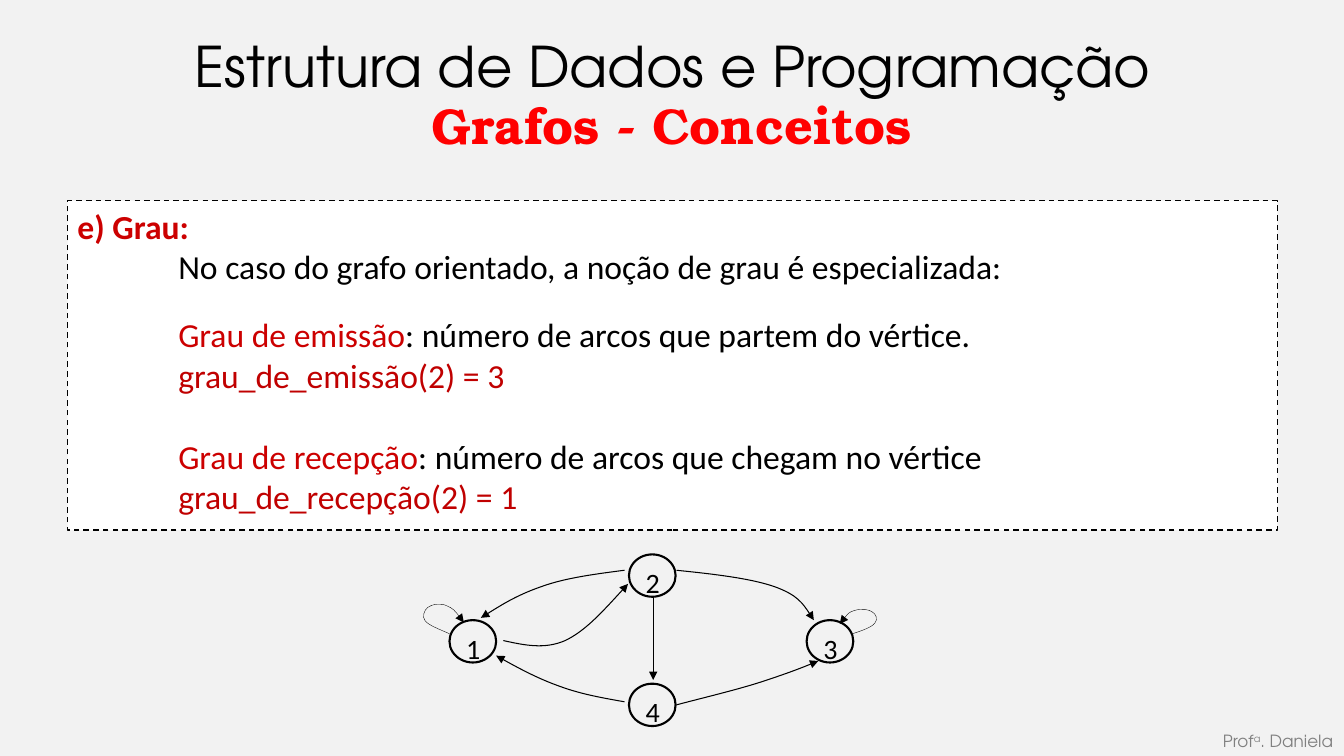
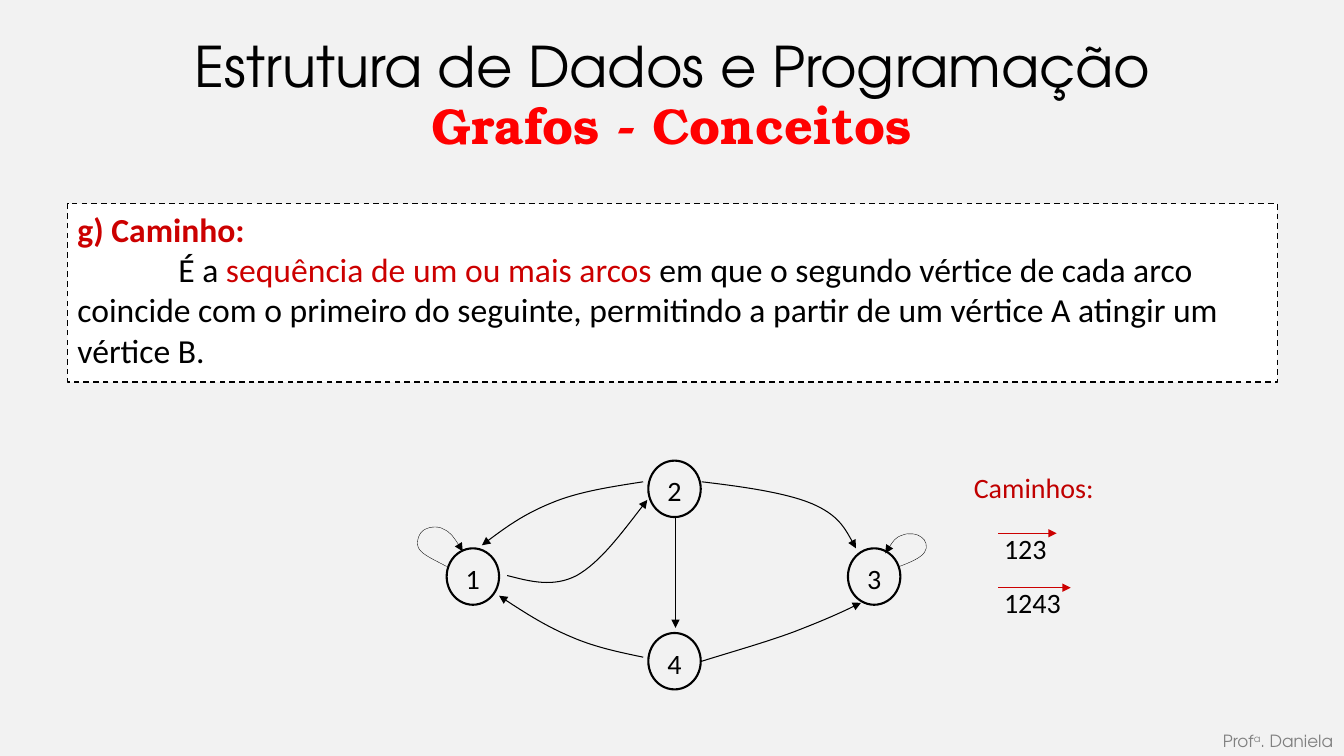
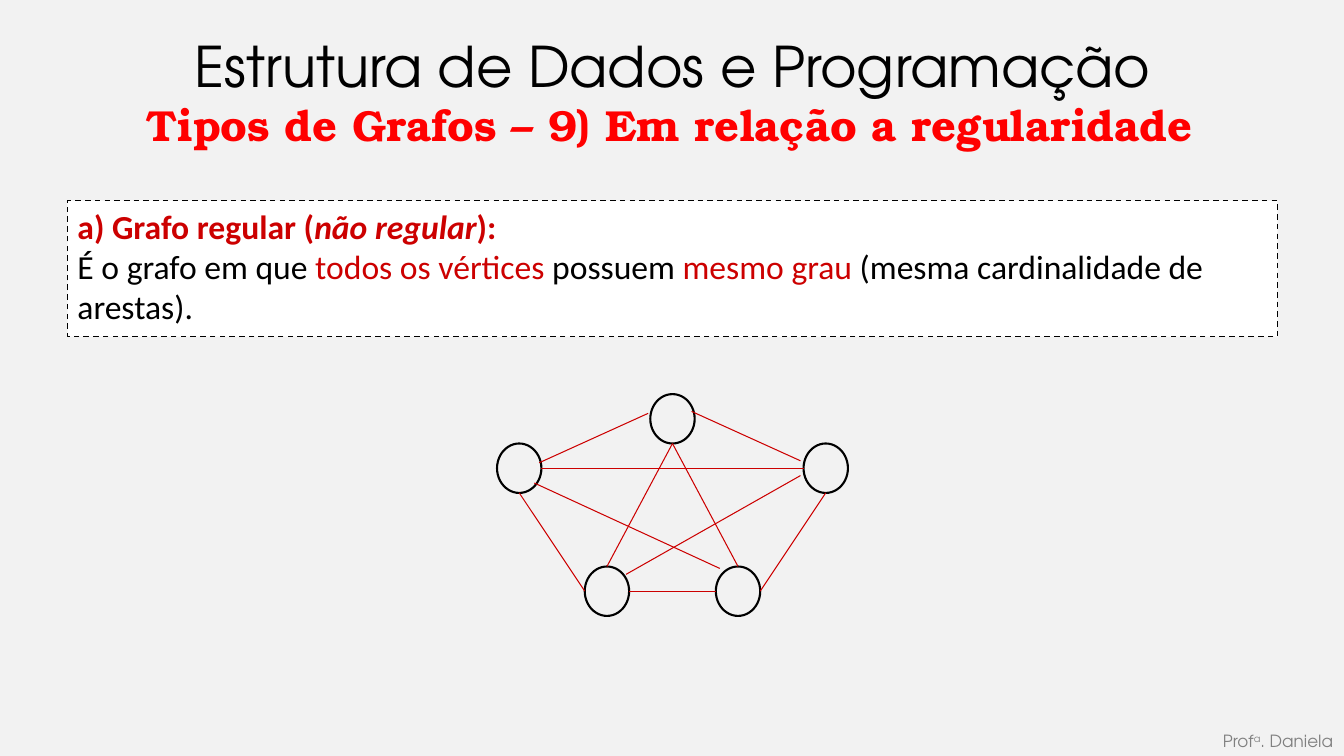
"""Builds three lecture slides about graph concepts."""
from dataclasses import dataclass
from typing import Any, NamedTuple

from lxml.etree import SubElement
from pptx import Presentation
from pptx.dml.color import RGBColor
from pptx.enum.dml import MSO_LINE
from pptx.enum.shapes import MSO_CONNECTOR as CONN, MSO_SHAPE as SHAPE
from pptx.enum.text import MSO_ANCHOR as ANCHOR, PP_ALIGN as ALIGN
from pptx.oxml.ns import qn
from pptx.util import Inches, Pt

BLACK, WHITE, RED, CRIMSON, DARK_RED = "000000", "FFFFFF", "FF0000", "CC0000", "C00000"
GRAY, PAPER = "808080", "F2F2F2"
BODY, DISPLAY, SERIF = "Calibri", "TeX Gyre Adventor", "TeX Gyre Bonum"
WIDTH, HEIGHT = 13.33, 7.5
MARGIN, CONTENT = 0.67, 12
TAB = 1

Point = tuple[float, float]


class Run(NamedTuple):
    text: str
    color: str = BLACK
    bold: bool = False
    italic: bool = False
    baseline: int = 0


class Para(NamedTuple):
    runs: list[Run]
    before: float = 0
    margin: float = 0
    indent: float = 0


class Box(NamedTuple):
    left: float
    top: float
    width: float
    height: float


class Edge(NamedTuple):
    start: str
    start_share: Point
    end: str
    end_share: Point


class Arc(NamedTuple):
    points: list[Point]
    weight: float = 0.75


@dataclass
class Frame:
    left: float
    top: float
    sx: float = 1
    sy: float = 1

    def at(self, point: Point) -> Point:
        return self.left + point[0] * self.sx, self.top + point[1] * self.sy


@dataclass
class Lesson:
    subtitle: str
    size: float
    subtitle_left: float
    box_top: float
    box_height: float
    paras: list[Para]


NODE_SIZE = (0.52, 0.56)
NODES = {"1": (0.29, 0.87), "2": (2.29, 0), "4": (2.29, 1.71), "3": (4.27, 0.87)}
ARCS = [
    Arc([(2.24, 0.21), (1.92, 0.26), (1.59, 0.31), (1.33, 0.42), (1.06, 0.53),
         (0.85, 0.68), (0.64, 0.84)]),
    Arc([(2.82, 0.21), (3.24, 0.26), (3.66, 0.32), (3.92, 0.43), (4.17, 0.54),
         (4.26, 0.7), (4.35, 0.87)]),
    Arc([(2.82, 1.99), (3.14, 1.89), (3.46, 1.8), (3.73, 1.7), (3.99, 1.6),
         (4.2, 1.51), (4.4, 1.41)]),
    Arc([(2.24, 1.95), (2, 1.9), (1.76, 1.85), (1.53, 1.75), (1.29, 1.65),
         (1.05, 1.5), (0.81, 1.34)]),
    Arc([(0.89, 1.14), (1.12, 1.2), (1.35, 1.26), (1.58, 1.14), (1.81, 1.01),
         (2.04, 0.7), (2.28, 0.39)]),
    Arc([(4.78, 1.05), (4.89, 1.01), (5, 0.96), (5.03, 0.91), (5.07, 0.86),
         (5.04, 0.78), (5, 0.76), (4.97, 0.73), (4.87, 0.71), (4.81, 0.74),
         (4.74, 0.76), (4.69, 0.84), (4.64, 0.92)], 0.25),
    Arc([(0.29, 1.05), (0.18, 0.99), (0.06, 0.94), (0.02, 0.88), (-0.02, 0.83),
         (0.01, 0.73), (0.05, 0.7), (0.09, 0.66), (0.2, 0.64), (0.26, 0.68),
         (0.33, 0.71), (0.39, 0.8), (0.45, 0.9)], 0.25),
]
DOWN_ARC = ((2.56, 0.55), (2.56, 1.66))

REGULAR_SIZE = (0.44, 0.49)
REGULAR_NODES = {"top": (6.45, 3.91), "right": (7.97, 4.4), "low right": (7.1, 5.62),
                 "low left": (5.8, 5.62), "left": (4.93, 4.4)}
REGULAR_EDGES = [
    Edge("top", (-0.05, 0.39), "left", (0.95, 0.39)),
    Edge("top", (0.93, 0.35), "right", (-0.07, 0.35)),
    Edge("top", (0.5, 1), "low right", (0.5, 0)),
    Edge("top", (0.5, 1), "low left", (0.5, 0)),
    Edge("low right", (1, 0.5), "right", (0.5, 1)),
    Edge("low left", (0, 0.5), "left", (0.5, 1)),
    Edge("low left", (1, 0.5), "low right", (0, 0.5)),
    Edge("right", (-0.07, 0.65), "low left", (0.93, 0.16)),
    Edge("right", (0, 0.5), "left", (1, 0.5)),
    Edge("left", (0.84, 0.8), "low right", (0.09, 0.04)),
]

DEGREE = Lesson("Grafos - Conceitos", 36, 0.26, 1.99, 3.27, [
    Para([Run("e) Grau:", CRIMSON, True)]),
    Para([Run("No caso do grafo orientado, a noção de grau é especializada:")], margin=TAB),
    Para([Run("Grau de emissão", CRIMSON),
          Run(": número de arcos que partem do vértice.")], 20, TAB),
    Para([Run("grau_de_emissão(2) = 3", DARK_RED)], margin=TAB),
    Para([Run("Grau de recepção", CRIMSON),
          Run(": número de arcos que chegam no vértice")], 29, TAB),
    Para([Run("grau_de_recepção(2) = 1", DARK_RED)], margin=TAB),
])
WALK = Lesson("Grafos - Conceitos", 36, 0.26, 2.02, 1.77, [
    Para([Run("g) Caminho:", CRIMSON, True)]),
    Para([Run("É a "), Run("sequência de um ou mais arcos", CRIMSON),
          Run(" em que o segundo vértice de cada arco coincide com o primeiro do seguinte, "
              "permitindo a partir de um vértice A atingir um vértice B.")], indent=TAB),
])
REGULAR = Lesson("Tipos de Grafos – 9) Em relação a regularidade", 31, 0.21, 1.99, 1.35, [
    Para([Run("a) Grafo regular (", CRIMSON, True), Run("não regular", CRIMSON, True, True),
          Run("):", CRIMSON, True)]),
    Para([Run("É o grafo em que "), Run("todos os vértices", CRIMSON), Run(" possuem "),
          Run("mesmo grau", CRIMSON), Run(" (mesma cardinalidade de arestas).")]),
])


def rgb(value: str) -> RGBColor:
    return RGBColor.from_string(value)


def write(sp: Any, paras: list[Para], size: float, font: str = BODY,
          align: Any = ALIGN.LEFT, anchor: Any = ANCHOR.TOP, wrap: bool = True) -> None:
    tf = sp.text_frame
    tf.word_wrap, tf.vertical_anchor = wrap, anchor
    for i, para in enumerate(paras):
        p = tf.add_paragraph() if i else tf.paragraphs[0]
        p.alignment = align
        pPr = p._p.get_or_add_pPr()
        pPr.set("marL", str(Inches(para.margin)))
        pPr.set("indent", str(Inches(para.indent)))
        if para.before:
            p.space_before = Pt(para.before)
        for run in para.runs:
            r = p.add_run()
            r.text = run.text
            fmt = {"name": font, "size": Pt(size), "bold": run.bold, "italic": run.italic}
            for key, value in fmt.items():
                setattr(r.font, key, value)
            r.font.color.rgb = rgb(run.color)
            if run.baseline:
                r._r.get_or_add_rPr().set("baseline", str(run.baseline * 1000))


def add_label(s: Any, box: Box, runs: list[Run], size: float, **fmt: Any) -> None:
    write(s.shapes.add_textbox(*map(Inches, box)), [Para(runs)], size, **fmt)


def set_line(sp: Any, color: str, weight: float, arrow: bool = False) -> None:
    sp.line.color.rgb = rgb(color)
    sp.line.width = Pt(weight)
    if arrow:
        SubElement(sp.line._get_or_add_ln(), qn("a:tailEnd"), type="triangle")


def add_line(s: Any, start: Point, end: Point, color: str, arrow: bool = False) -> None:
    sp = s.shapes.add_connector(CONN.STRAIGHT, *map(Inches, (*start, *end)))
    set_line(sp, color, 0.75, arrow)
    SubElement(sp._element.spPr, qn("a:effectLst"))


def add_curve(s: Any, frame: Frame, arc: Arc) -> None:
    first, *rest = [tuple(map(Inches, frame.at(point))) for point in arc.points]
    builder = s.shapes.build_freeform(*first)
    builder.add_line_segments(rest, close=False)
    sp = builder.convert_to_shape()
    sp.shadow.inherit = False
    sp.fill.background()
    set_line(sp, BLACK, arc.weight, True)
    outline = sp._element.find(".//" + qn("a:path"))
    segments = outline.findall(qn("a:lnTo"))
    for i in range(0, len(segments), 3):
        bezier = SubElement(outline, qn("a:cubicBezTo"))
        for segment in segments[i:i + 3]:
            bezier.append(segment[0])
            outline.remove(segment)


def add_node(s: Any, box: Box, text: str = "") -> None:
    sp = s.shapes.add_shape(SHAPE.OVAL, *map(Inches, box))
    sp.shadow.inherit = False
    sp.fill.background()
    set_line(sp, BLACK, 1.5)
    if text:
        write(sp, [Para([Run(text)])], 20, align=ALIGN.CENTER)


def add_digraph(s: Any, frame: Frame) -> None:
    width, height = NODE_SIZE
    for name, corner in NODES.items():
        add_node(s, Box(*frame.at(corner), width * frame.sx, height * frame.sy), name)
    for arc in ARCS:
        add_curve(s, frame, arc)
    add_line(s, *map(frame.at, DOWN_ARC), BLACK, True)


def add_regular_graph(s: Any) -> None:
    frames = {name: Frame(*corner, *REGULAR_SIZE) for name, corner in REGULAR_NODES.items()}
    for corner in REGULAR_NODES.values():
        add_node(s, Box(*corner, *REGULAR_SIZE))
    for edge in REGULAR_EDGES:
        add_line(s, frames[edge.start].at(edge.start_share),
                 frames[edge.end].at(edge.end_share), CRIMSON)


def add_walks(s: Any) -> None:
    add_label(s, Box(9.56, 4.62, 1.4, 0.44), [Run("Caminhos:", DARK_RED)], 20, wrap=False)
    for i, (walk, length) in enumerate([("123", 0.58), ("1243", 0.72)]):
        y = 5.29 + i * 0.54
        add_line(s, (9.9, y), (9.9 + length, y), CRIMSON, True)
        add_label(s, Box(9.86, y - 0.07, length + 0.05, 0.44), [Run(walk)], 20, wrap=False)


def add_lesson(prs: Any, lesson: Lesson) -> Any:
    s = prs.slides.add_slide(prs.slide_layouts[6])
    sp = s.shapes.add_shape(SHAPE.RECTANGLE, *map(
        Inches, (MARGIN, lesson.box_top, CONTENT, lesson.box_height)))
    sp.shadow.inherit = False
    sp.fill.solid()
    sp.fill.fore_color.rgb = rgb(WHITE)
    set_line(sp, BLACK, 1)
    sp.line.dash_style = MSO_LINE.DASH
    write(sp, lesson.paras, 24)
    centred = {"align": ALIGN.CENTER, "anchor": ANCHOR.MIDDLE}
    add_label(s, Box(MARGIN, 0.02, CONTENT, 1.25),
              [Run("Estrutura de Dados e Programação")], 40, font=DISPLAY, **centred)
    left = lesson.subtitle_left
    add_label(s, Box(left, 0.92, 13.07 - left, 0.63),
              [Run(lesson.subtitle, RED, True)], lesson.size, font=SERIF, **centred)
    add_label(s, Box(9.75, 7.2, 3.57, 0.3),
              [Run("Prof", GRAY), Run("a", GRAY, baseline=30), Run(". Daniela", GRAY)],
              12, font=DISPLAY, align=ALIGN.RIGHT)
    return s


def main() -> None:
    prs = Presentation()
    prs.slide_width, prs.slide_height = Inches(WIDTH), Inches(HEIGHT)
    fill = prs.slide_master.background.fill
    fill.solid()
    fill.fore_color.rgb = rgb(PAPER)
    add_digraph(add_lesson(prs, DEGREE), Frame(4.2, 5.5, 0.89, 0.75))
    s = add_lesson(prs, WALK)
    add_digraph(s, Frame(4.14, 4.57))
    add_walks(s)
    add_regular_graph(add_lesson(prs, REGULAR))
    prs.save("out.pptx")


if __name__ == "__main__":
    main()
